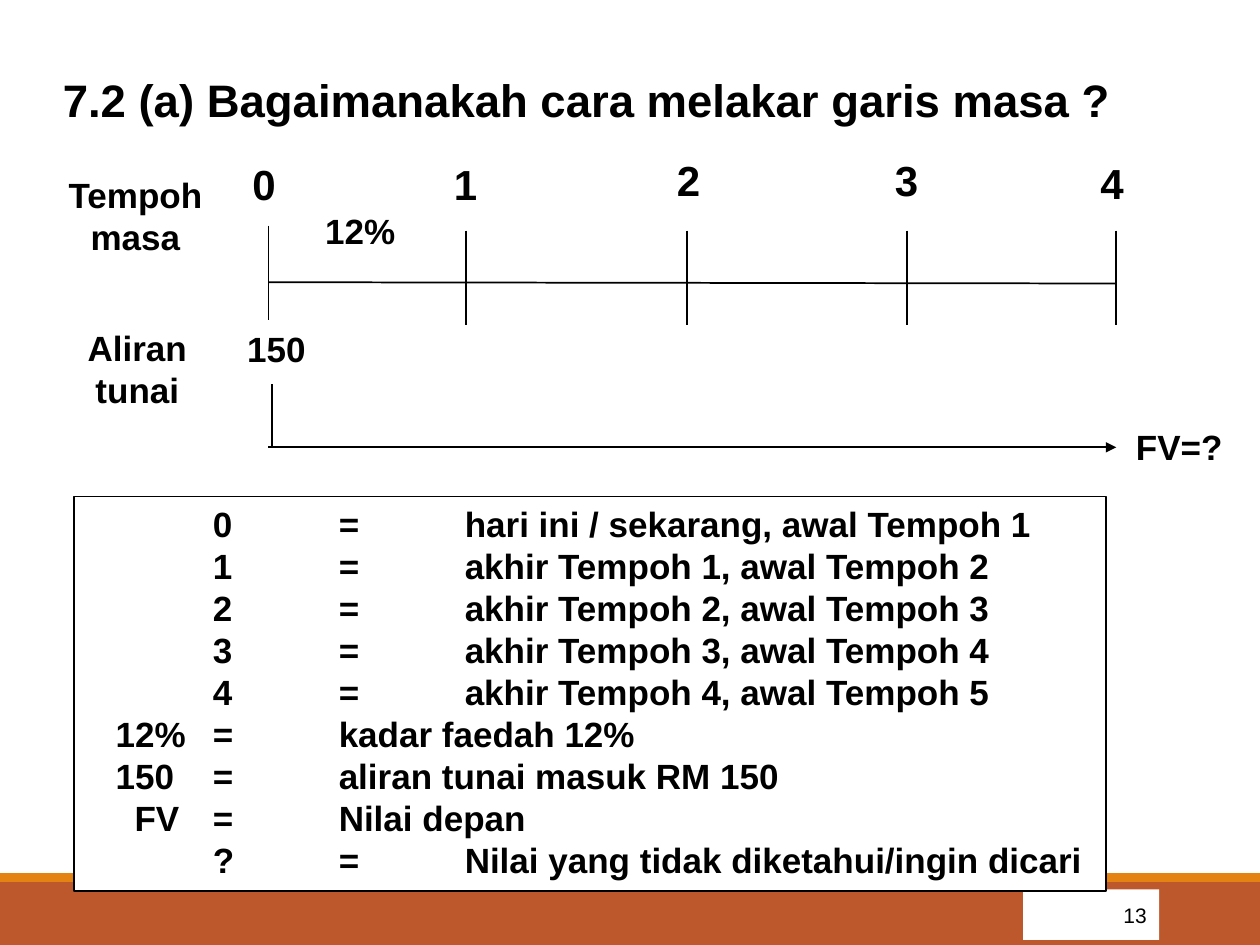
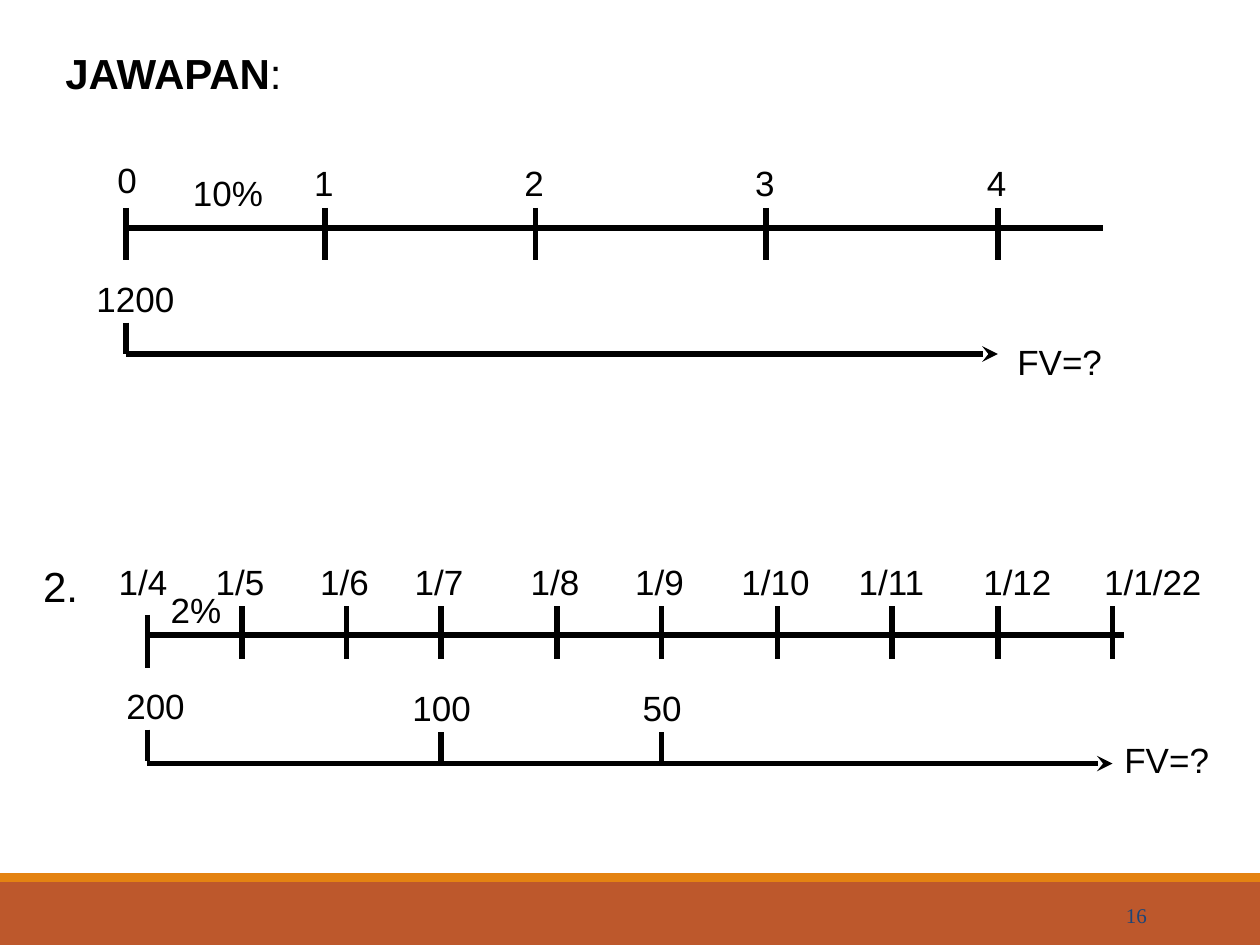
from dataclasses import dataclass
from typing import Any, Optional

from lxml.etree import SubElement
from pptx import Presentation
from pptx.dml.color import RGBColor
from pptx.enum.shapes import MSO_CONNECTOR, MSO_SHAPE
from pptx.enum.text import MSO_ANCHOR, PP_ALIGN
from pptx.oxml.ns import qn
from pptx.util import Inches, Pt


@dataclass(frozen=True)
class Theme:
    ink: RGBColor = RGBColor(0, 0, 0)
    paper: RGBColor = RGBColor(255, 255, 255)
    band: RGBColor = RGBColor(0xBD, 0x58, 0x2C)
    stripe: RGBColor = RGBColor(0xE4, 0x83, 0x12)
    number: RGBColor = RGBColor(0x1D, 0x45, 0x77)
    font: str = "Arial"
    number_font: str = "Times New Roman"
    title_size: int = 26
    heading_size: int = 24
    body_size: int = 20
    number_size: int = 12
    leading: float = 1.2


THEME = Theme()


@dataclass(frozen=True)
class Label:
    text: str
    left: float
    top: float
    width: float
    size: int = THEME.body_size
    align: PP_ALIGN = PP_ALIGN.CENTER
    bold: bool = False
    fill: Optional[RGBColor] = None
    border: bool = False
    height: Optional[float] = None
    font: str = THEME.font
    color: RGBColor = THEME.ink
    anchor: MSO_ANCHOR = MSO_ANCHOR.TOP
    tabs: tuple[tuple[float, ...], ...] = ()


@dataclass(frozen=True)
class Stroke:
    x1: float
    y1: float
    x2: float
    y2: float
    weight: float
    arrow: Optional[str] = None


@dataclass(frozen=True)
class Timeline:
    axis_y: float
    axis_end: tuple[float, float]
    ticks: tuple[float, ...]
    first_top: float
    tick_top: float
    tick_height: float
    flows: tuple[tuple[float, float, float], ...]
    flow_start: float
    flow_end: float
    flow_y: float
    weight: float
    arrow: str


def apply_format(target: Any, values: dict[str, Any]) -> None:
    for attribute, value in values.items():
        setattr(target, attribute, value)


def format_font(font: Any, label: Label) -> None:
    apply_format(font, {"name": label.font, "size": Pt(label.size), "bold": label.bold})
    font.color.rgb = label.color


def draw_block(slide: Any, left: float, top: float, width: float, height: float,
               fill: RGBColor, border: bool = False) -> Any:
    block = slide.shapes.add_shape(MSO_SHAPE.RECTANGLE, Inches(left), Inches(top),
                                   Inches(width), Inches(height))
    block.shadow.inherit = False
    block.fill.solid()
    block.fill.fore_color.rgb = fill
    if border:
        block.line.color.rgb = THEME.ink
        block.line.width = Pt(1)
    else:
        block.line.fill.background()
    return block


def draw_label(slide: Any, label: Label) -> Any:
    rows = label.text.split("\n")
    line_height = label.size * THEME.leading
    height = label.height or round(len(rows) * line_height / 72 + 0.1, 2)
    if label.fill is None:
        box = slide.shapes.add_textbox(Inches(label.left), Inches(label.top),
                                       Inches(label.width), Inches(height))
    else:
        box = draw_block(slide, label.left, label.top, label.width, height,
                         label.fill, label.border)
    frame = box.text_frame
    apply_format(frame, {
        "word_wrap": label.align != PP_ALIGN.CENTER,
        "vertical_anchor": label.anchor,
        "margin_left": Inches(0.1), "margin_right": Inches(0.1),
        "margin_top": Inches(0.05), "margin_bottom": Inches(0.05),
    })
    for index, row in enumerate(rows):
        paragraph = frame.paragraphs[0] if index == 0 else frame.add_paragraph()
        apply_format(paragraph, {"alignment": label.align, "line_spacing": Pt(line_height)})
        if label.tabs:
            stops = SubElement(paragraph._p.get_or_add_pPr(), qn("a:tabLst"))
            for position in label.tabs[index]:
                SubElement(stops, qn("a:tab"), pos=str(Inches(position)), algn="l")
        run = paragraph.add_run()
        run.text = row
        format_font(run.font, label)
    return box


def draw_stroke(slide: Any, stroke: Stroke) -> None:
    connector = slide.shapes.add_connector(
        MSO_CONNECTOR.STRAIGHT, Inches(stroke.x1), Inches(stroke.y1),
        Inches(stroke.x2), Inches(stroke.y2))
    connector.line.color.rgb = THEME.ink
    connector.line.width = Pt(stroke.weight)
    if stroke.arrow:
        SubElement(connector.line._get_or_add_ln(), qn("a:tailEnd"), type=stroke.arrow)
    SubElement(connector._element.spPr, qn("a:effectLst"))


def draw_timeline(slide: Any, line: Timeline) -> None:
    end_x, end_y = line.axis_end
    draw_stroke(slide, Stroke(line.ticks[0], line.axis_y, end_x, end_y, line.weight))
    for index, x in enumerate(line.ticks):
        top = line.tick_top if index else line.first_top
        draw_stroke(slide, Stroke(x, top, x, top + line.tick_height, line.weight))
    for x, top, bottom in line.flows:
        draw_stroke(slide, Stroke(x, top, x, bottom, line.weight))
    draw_stroke(slide, Stroke(line.flow_start, line.flow_y, line.flow_end, line.flow_y,
                              line.weight, line.arrow))


def add_banded_slide(deck: Any) -> Any:
    slide = deck.slides.add_slide(deck.slide_layouts[6])
    draw_block(slide, 0, 7, 10, 0.5, THEME.band)
    draw_block(slide, 0, 6.93, 10, 0.07, THEME.stripe)
    return slide


def draw_page_number(slide: Any, number: int, **style: Any) -> None:
    draw_label(slide, Label(str(number), 8.12, 7.06, 1.08, THEME.number_size,
                            PP_ALIGN.RIGHT, height=0.4, anchor=MSO_ANCHOR.MIDDLE, **style))


def build_sketch_slide(deck: Any) -> None:
    slide = add_banded_slide(deck)
    strong = {"bold": True, "fill": THEME.paper}
    draw_label(slide, Label("7.2 (a) Bagaimanakah cara melakar garis masa ?", 0.4, 0.52, 9.14,
                            THEME.title_size, PP_ALIGN.LEFT, **strong))
    draw_timeline(slide, Timeline(
        axis_y=2.24, axis_end=(8.86, 2.25), ticks=(2.13, 3.7, 5.45, 7.2, 8.86),
        first_top=1.79, tick_top=1.83, tick_height=0.75, flows=((2.16, 3.05, 3.55),),
        flow_start=2.13, flow_end=8.86, flow_y=3.55, weight=1, arrow="triangle"))
    periods = ((1.9, 1.21), (3.5, 1.21), (5.27, 1.18), (7, 1.18), (8.63, 1.2))
    for period, (left, top) in enumerate(periods):
        draw_label(slide, Label(str(period), left, top, 0.39, THEME.heading_size, **strong))
    for text, left, top, width in (
        ("Tempoh\nmasa", 0.44, 1.33, 1.27),
        ("Aliran\ntunai", 0.59, 2.54, 1),
        ("150", 1.86, 2.55, 0.67),
        ("FV=?", 8.91, 3.33, 0.9),
        ("12%", 2.48, 1.61, 0.76),
    ):
        draw_label(slide, Label(text, left, top, width, **strong))
    draw_page_number(slide, 13, fill=THEME.paper)

    meanings = (
        (1, "0", "hari ini / sekarang, awal Tempoh 1"),
        *((1, str(n), f"akhir Tempoh {n}, awal Tempoh {n + 1}") for n in range(1, 5)),
        (0.23, "12%", "kadar faedah 12%"),
        (0.23, "150", "aliran tunai masuk RM 150"),
        (0.38, "FV", "Nilai depan"),
        (1, "?", "Nilai yang tidak diketahui/ingin dicari"),
    )
    draw_label(slide, Label(
        "\n".join(f"\t{symbol}\t=\t{meaning}" for _, symbol, meaning in meanings),
        0.59, 3.94, 8.19, align=PP_ALIGN.LEFT, border=True, height=3.13,
        tabs=tuple((1, 2, 3) if indent == 1 else (indent, 1, 2)
                   for indent, _, _ in meanings), **strong))


def build_answer_slide(deck: Any) -> None:
    slide = add_banded_slide(deck)
    draw_page_number(slide, 16, font=THEME.number_font, color=THEME.number)
    yearly = Timeline(
        axis_y=1.81, axis_end=(8.75, 1.81), ticks=(1, 2.58, 4.25, 6.08, 7.92),
        first_top=1.65, tick_top=1.65, tick_height=0.41, flows=((1, 2.56, 2.81),),
        flow_start=1, flow_end=7.92, flow_y=2.81, weight=3, arrow="stealth")
    monthly = Timeline(
        axis_y=5.04, axis_end=(8.92, 5.04),
        ticks=(1.17, 1.92, 2.75, 3.5, 4.42, 5.25, 6.17, 7.08, 7.92, 8.83),
        first_top=4.88, tick_top=4.81, tick_height=0.42,
        flows=((1.17, 5.79, 6.04), (3.5, 5.81, 6.06), (5.25, 5.81, 6.06)),
        flow_start=1.17, flow_end=8.83, flow_y=6.06, weight=3, arrow="stealth")
    for timeline in (yearly, monthly):
        draw_timeline(slide, timeline)

    for year, left in enumerate((0.83, 2.39, 4.06, 5.89, 7.73)):
        draw_label(slide, Label(str(year), left, 1.23 if year else 1.21, 0.36))
    dates = (("1/4", 0.83, 0.61), ("1/5", 1.6, 0.61), ("1/6", 2.43, 0.61),
             ("1/7", 3.18, 0.61), ("1/8", 4.1, 0.61), ("1/9", 4.93, 0.61),
             ("1/10", 5.77, 0.77), ("1/11", 6.71, 0.73), ("1/12", 7.69, 0.77),
             ("1/1/22", 8.66, 0.98))
    for date, left, width in dates:
        draw_label(slide, Label(date, left, 4.4, width))
    for text, left, top, width in (
        ("10%", 1.42, 1.31, 0.78), ("1200", 0.66, 2.15, 0.83), ("FV=?", 7.97, 2.65, 0.88),
        ("2%", 1.24, 4.62, 0.63), ("200", 0.9, 5.38, 0.67), ("100", 3.17, 5.4, 0.67),
        ("50", 5, 5.4, 0.51), ("FV=?", 8.82, 5.81, 0.88),
    ):
        draw_label(slide, Label(text, left, top, width))
    draw_label(slide, Label("2.", 0.24, 4.4, 0.48, THEME.heading_size))

    heading = Label("JAWAPAN", 0.42, 0.33, 3.82, THEME.heading_size, PP_ALIGN.LEFT, bold=True)
    colon = draw_label(slide, heading).text_frame.paragraphs[0].add_run()
    colon.text = ":"
    format_font(colon.font, heading)
    colon.font.bold = False


def main() -> None:
    deck = Presentation()
    apply_format(deck, {"slide_width": Inches(10), "slide_height": Inches(7.5)})
    build_sketch_slide(deck)
    build_answer_slide(deck)
    deck.save("out.pptx")


if __name__ == "__main__":
    main()
